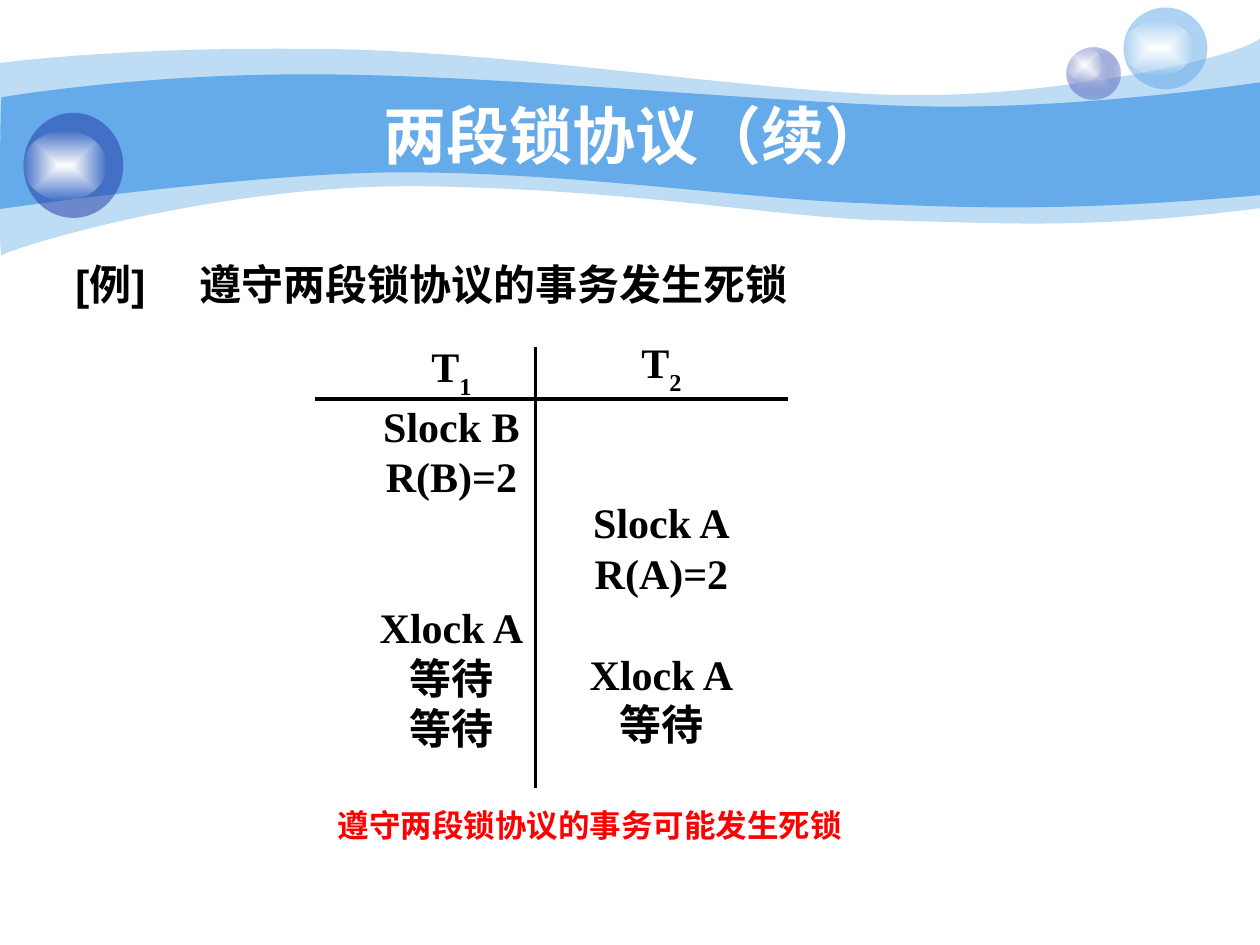
from lxml import etree
from pptx import Presentation
from pptx.dml.color import RGBColor
from pptx.enum.shapes import MSO_CONNECTOR, MSO_SHAPE
from pptx.enum.text import MSO_ANCHOR, PP_ALIGN
from pptx.oxml import parse_xml
from pptx.oxml.ns import nsdecls, qn
from pptx.util import Pt

CENTER, LEFT = PP_ALIGN.CENTER, PP_ALIGN.LEFT
TOP, MIDDLE = MSO_ANCHOR.TOP, MSO_ANCHOR.MIDDLE
OVAL, STRAIGHT = MSO_SHAPE.OVAL, MSO_CONNECTOR.STRAIGHT
COLORS = {"sky": "65AAE9", "navy": "233DA9", "mist": "C7CEE9",
          "white": "FFFFFF", "black": "000000", "red": "FF0000"}
ROW = 28.8
PALE_WAVE = [
    (0, 36), (17, 34), (77, 27), (178, 28), (278, 28), (414, 50), (503, 54),
    (592, 58), (706, 34), (720, 22), (720, 22), (720, 119), (720, 119),
    (618, 132), (567, 127), (508, 126), (448, 125), (371, 109), (247, 106.5),
    (124, 104), (3, 143), (1, 146), (-1, 150), (0, 54), (0, 36)]
DEEP_WAVE = [
    (1, 55.5), (2, 55.5), (79, 42), (179, 42.5), (278, 42.5), (428, 57.5),
    (517, 60.5), (606, 63.5), (703, 49.5), (720, 47), (720, 47), (720, 111.5),
    (720, 111.5), (614, 121), (551, 119), (491, 116), (431, 114), (322, 98),
    (228, 98.5), (146, 98.5), (-1, 119.5), (-0.5, 119.5), (0, 119.5),
    (0, 55.5), (1, 55.5)]


def rgb(name):
    """Return the named palette colour."""
    return RGBColor.from_string(COLORS[name])


def fill_solid(shape, color, alpha=100):
    """Fill a borderless shape with one colour at the given opacity."""
    shape.shadow.inherit = False
    shape.line.fill.background()
    shape.fill.solid()
    shape.fill.fore_color.rgb = rgb(color)
    if alpha < 100:
        tint = shape.fill._xPr.find(qn("a:solidFill"))[0]
        etree.SubElement(tint, qn("a:alpha")).set("val", str(alpha * 1000))


def fill_glow(shape, inner, outer, alpha):
    """Fill a borderless shape with a gradient spreading from its centre."""
    fill_solid(shape, inner)
    solid = shape.fill._xPr.find(qn("a:solidFill"))
    glow = parse_xml(
        f'<a:gradFill {nsdecls("a")} rotWithShape="1"><a:gsLst>'
        f'<a:gs pos="0"><a:srgbClr val="{COLORS[inner]}"/></a:gs>'
        f'<a:gs pos="100000"><a:srgbClr val="{COLORS[outer]}">'
        f'<a:alpha val="{alpha * 1000}"/></a:srgbClr></a:gs></a:gsLst>'
        '<a:path path="rect"><a:fillToRect l="50000" t="50000" r="50000" '
        'b="50000"/></a:path></a:gradFill>')
    solid.getparent().replace(solid, glow)


def add_wave(slide, left, top, wave, color, alpha=100):
    """Draw a closed outline whose points, after the first, form cubic curves."""
    start, *points = [(Pt(left + x), Pt(top + y)) for x, y in wave]
    builder = slide.shapes.build_freeform(*start)
    builder.add_line_segments(points)
    shape = builder.convert_to_shape()
    outline = shape._element.spPr.find(".//" + qn("a:path"))
    sides = outline.findall(qn("a:lnTo"))
    for first in range(0, len(points), 3):
        curve = etree.Element(qn("a:cubicBezTo"))
        sides[first].addprevious(curve)
        for side in sides[first:first + 3]:
            curve.append(side[0])
            outline.remove(side)
    for spare in sides[len(points):]:
        outline.remove(spare)
    fill_solid(shape, color, alpha)


def add_oval(slide, left, top, width, height):
    """Add an ellipse in the given box."""
    return slide.shapes.add_shape(OVAL, Pt(left), Pt(top), Pt(width), Pt(height))


def add_banner(slide, left, top):
    """Draw the waves and the bubbles over them."""
    add_wave(slide, left, top, PALE_WAVE, "sky", 41)
    add_wave(slide, left, top, DEEP_WAVE, "sky")
    fill_glow(add_oval(slide, left + 609.5, top + 27, 31, 29.5), "mist", "navy", 31)
    fill_glow(add_oval(slide, left + 609.5, top + 27, 20.4, 19.6), "white", "white", 0)
    for x, y, width, height, color in ((642, 4.3, 48, 46.7, "sky"),
                                       (13.4, 64.5, 57, 60, "navy")):
        fill_solid(add_oval(slide, left + x, top + y, width, height), color, 53)
        shine = add_oval(slide, left + x, top + y + height / 6,
                         width * 0.83, height * 2 / 3)
        fill_glow(shine, "white", "white", 0)


def style_run(run, size, font, color):
    """Make a run bold in the given size, font and colour."""
    run.font.size = Pt(size)
    run.font.name = font
    run.font.bold = True
    run.font.color.rgb = rgb(color)


def add_text(slide, box, lines, size, font, color,
             align=CENTER, anchor=TOP, wrap=True):
    """Add a bold text box and return its paragraphs."""
    frame = slide.shapes.add_textbox(*map(Pt, box)).text_frame
    frame.word_wrap = wrap
    frame.vertical_anchor = anchor
    frame.text = "\n".join(lines)
    for paragraph in frame.paragraphs:
        paragraph.alignment = align
        for run in paragraph.runs:
            style_run(run, size, font, color)
    return frame.paragraphs


def add_heading(slide, left, top, width, height):
    """Place the example heading with a tab after its label."""
    heading, = add_text(slide, (left, top, width, height),
                        ["[例]\t遵守两段锁协议的事务发生死锁"], 24, "Arial", "black", LEFT)
    stops = etree.SubElement(heading._p.get_or_add_pPr(), qn("a:tabLst"))
    stop = etree.SubElement(stops, qn("a:tab"))
    stop.set("pos", str(Pt(71)))
    stop.set("algn", "l")


def add_transaction(slide, left, top, width, height, number, steps):
    """List one transaction's steps, each with the idle rows before it."""
    lines = ["T"] + [step for _, step in steps]
    title, *rows = add_text(slide, (left, top, width, height), lines,
                            24, "Times New Roman", "black", wrap=False)
    subscript = title.add_run()
    subscript.text = number
    style_run(subscript, 24, "Times New Roman", "black")
    subscript.font._element.set("baseline", "-30000")
    title.line_spacing = Pt(ROW)
    for row, (idle, _) in zip(rows, steps):
        row.line_spacing = Pt(ROW)
        row.space_before = Pt(idle * ROW)


def add_rule(slide, *ends):
    """Draw a black line between two points."""
    rule = slide.shapes.add_connector(STRAIGHT, *map(Pt, ends))
    rule.line.color.rgb = rgb("black")
    rule.line.width = Pt(2.25)
    etree.SubElement(rule._element.spPr, qn("a:effectLst"))


def add_schedule(slide, left, top, width, height):
    """Draw the two-transaction schedule and its rules."""
    add_transaction(slide, left + 29.75, top - 1.6, 96.5, height + 20, "1", [
        (0, "Slock B"), (0, "R(B)=2"), (2, "Xlock A"), (0, "等待"), (0, "等待")])
    add_transaction(slide, left + 149.75, top - 4, 96.5, height + 34, "2", [
        (2, "Slock A"), (0, "R(A)=2"), (1, "Xlock A"), (0, "等待")])
    add_rule(slide, left, top + 30, left + width, top + 30)
    add_rule(slide, left + 126, top, left + 126, top + height)


def main():
    """Build the slide and save it."""
    deck = Presentation()
    deck.slide_width, deck.slide_height = Pt(720), Pt(540)
    slide = deck.slides.add_slide(deck.slide_layouts[6])
    add_banner(slide, 0, 0)
    add_text(slide, (72, 54, 582, 45), ["两段锁协议（续）"], 36, "Arial", "white",
             anchor=MIDDLE)
    add_heading(slide, 36, 144, 648, 354)
    add_schedule(slide, 180, 198, 270, 252)
    add_text(slide, (157, 457, 360, 29), ["遵守两段锁协议的事务可能发生死锁"], 18,
             "Times New Roman", "red", wrap=False)
    deck.save("out.pptx")


if __name__ == "__main__":
    main()
